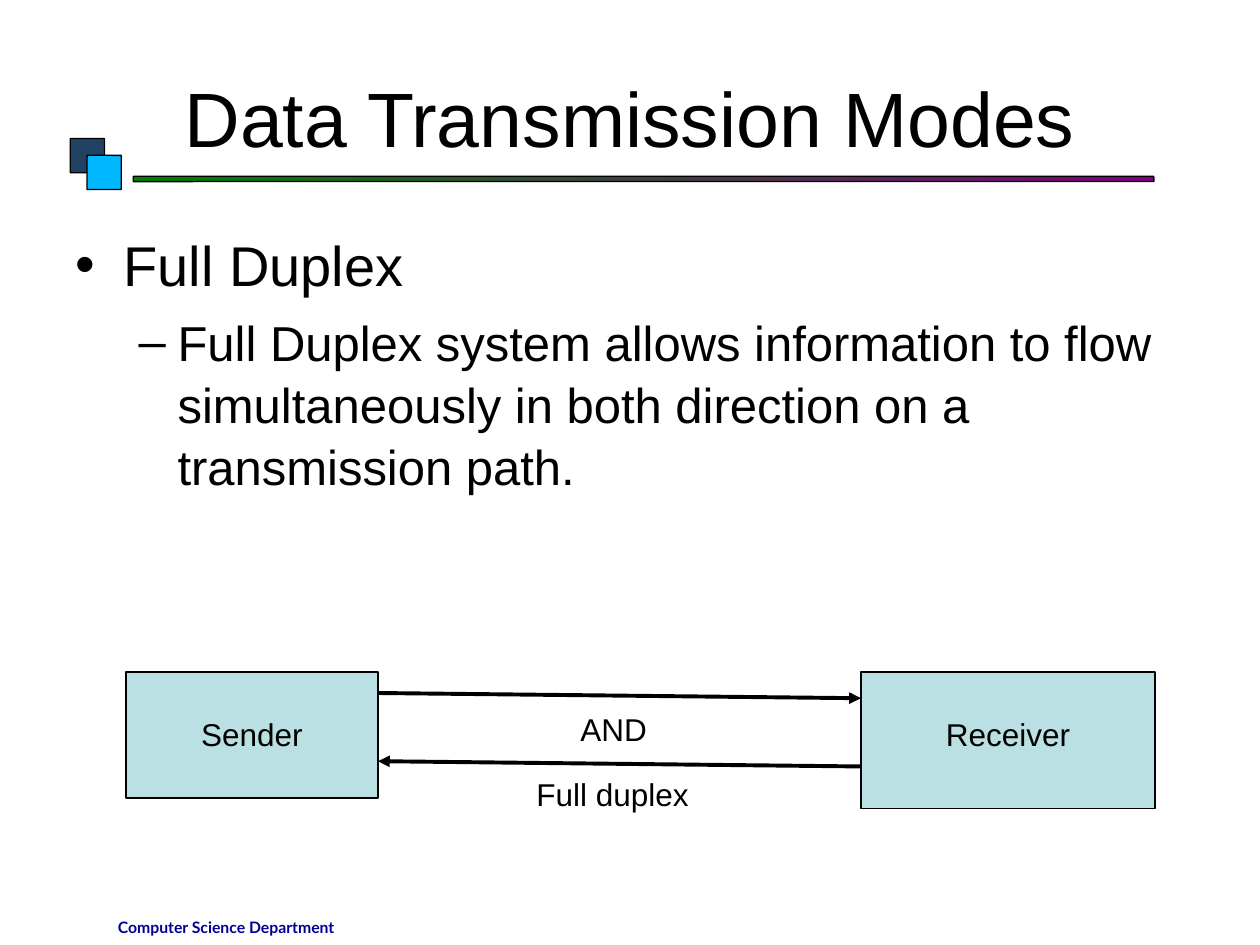
"""Build the slide on full duplex data transmission."""
from lxml.etree import SubElement
from pptx import Presentation
from pptx.dml.color import RGBColor
from pptx.enum.shapes import MSO_CONNECTOR, MSO_SHAPE
from pptx.enum.text import MSO_ANCHOR, MSO_AUTO_SIZE, PP_ALIGN
from pptx.oxml.ns import qn
from pptx.util import Inches, Pt

COLORS = {"black": "000000", "station": "BBE0E3", "navy": "214263", "sky": "00B8FF",
          "green": "008000", "purple": "800080", "footer": "000099"}
COLUMNS, ROWS = 120, 90
WIDTH, HEIGHT = Inches(10), Inches(7.5)

TITLE = ("Data Transmission Modes", (6, 3.6, 108, 15))
BODY_AREA = (6, 21, 108, 59.4)
BULLETS = [
    dict(text="Full Duplex", level=0, mark="•", left=0.38, hang=0.38, size=32, before=0),
    dict(text="Full Duplex system allows information to flow simultaneously "
              "in both direction on a transmission path.",
         level=1, mark="–", left=0.81, hang=0.31, size=28, before=7),
]
STATIONS = [("Sender", (12, 64, 24, 12)), ("Receiver", (82, 64, 28, 13))]
ARROWS = [(66, 66.5, "a:tailEnd"), (72.5, 73, "a:headEnd")]
LABELS = [("Full duplex", (49.9, 73.2, 16.9, 4.8)), ("AND", (54.1, 67, 8.8, 4.8))]
FOOTER = ("Computer Science Department", (5, 86.8, 28, 3.2))
SQUARES = [("navy", (6.7, 13.2, 3.25, 3.25)), ("sky", (8.3, 14.8, 3.25, 3.25))]
RULE_AREA = (12.7, 16.8, 97.2, 0.5)


def place(column, row, columns, rows):
    """Turn grid cells into slide lengths."""
    return (round(WIDTH * column / COLUMNS), round(HEIGHT * row / ROWS),
            round(WIDTH * columns / COLUMNS), round(HEIGHT * rows / ROWS))


def color(name):
    """Look up a colour by name."""
    return RGBColor.from_string(COLORS[name])


def write(paragraph, text, size=18, font="Arial", ink="black", bold=False, align=PP_ALIGN.LEFT):
    """Write formatted text into a paragraph."""
    run = paragraph.add_run()
    run.text = text
    run.font.size, run.font.name, run.font.bold = Pt(size), font, bold
    run.font.color.rgb = color(ink)
    paragraph.alignment = align


def fit(placeholder, area, anchor):
    """Move a placeholder and fix its text layout."""
    placeholder.left, placeholder.top, placeholder.width, placeholder.height = place(*area)
    placeholder.text_frame.auto_size = MSO_AUTO_SIZE.NONE
    placeholder.text_frame.vertical_anchor = anchor
    return placeholder.text_frame


def add_block(slide, area, kind=MSO_SHAPE.RECTANGLE, fill=None):
    """Add an outlined shape with an optional solid fill."""
    block = slide.shapes.add_shape(kind, *place(*area))
    block.shadow.inherit = False
    block.line.color.rgb, block.line.width = color("black"), Pt(0.75)
    if fill:
        block.fill.solid()
        block.fill.fore_color.rgb = color(fill)
    return block


def add_label(slide, text, area, wrap=False, **style):
    """Add a text box."""
    frame = slide.shapes.add_textbox(*place(*area)).text_frame
    frame.word_wrap = wrap
    write(frame.paragraphs[0], text, **style)


def add_bullets(frame):
    """Fill the body with its bulleted levels."""
    for index, bullet in enumerate(BULLETS):
        paragraph = frame.add_paragraph() if index else frame.paragraphs[0]
        paragraph.level = bullet["level"]
        paragraph.space_before, paragraph.line_spacing = Pt(bullet["before"]), 1.05
        properties = paragraph._p.get_or_add_pPr()
        properties.set("marL", str(Inches(bullet["left"])))
        properties.set("indent", str(-Inches(bullet["hang"])))
        SubElement(properties, qn("a:buFont"), typeface="Arial")
        SubElement(properties, qn("a:buChar"), char=bullet["mark"])
        write(paragraph, bullet["text"], size=bullet["size"])


def add_arrow(slide, start_row, end_row, tip):
    """Join the two stations with an arrow."""
    sender, receiver = (area for _, area in STATIONS)
    left, top, _, _ = place(sender[0] + sender[2], start_row, 0, 0)
    right, bottom, _, _ = place(receiver[0], end_row, 0, 0)
    arrow = slide.shapes.add_connector(MSO_CONNECTOR.STRAIGHT, left, top, right, bottom)
    arrow.line.color.rgb, arrow.line.width = color("black"), Pt(2.25)
    SubElement(arrow.line._get_or_add_ln(), qn(tip), type="triangle")
    SubElement(arrow._element.spPr, qn("a:effectLst"))


def main():
    """Assemble and save the slide."""
    deck = Presentation()
    deck.slide_width, deck.slide_height = WIDTH, HEIGHT
    slide = deck.slides.add_slide(deck.slide_layouts[1])
    heading, body = slide.placeholders

    add_label(slide, *FOOTER, wrap=True, size=9, font="Lato", ink="footer", bold=True,
              align=PP_ALIGN.RIGHT)
    title, title_area = TITLE
    write(fit(heading, title_area, MSO_ANCHOR.MIDDLE).paragraphs[0], title, size=44,
          align=PP_ALIGN.CENTER)
    add_bullets(fit(body, BODY_AREA, MSO_ANCHOR.TOP))

    for name, area in STATIONS:
        frame = add_block(slide, area, fill="station").text_frame
        frame.vertical_anchor, frame.margin_top = MSO_ANCHOR.TOP, Inches(0.34)
        write(frame.paragraphs[0], name, align=PP_ALIGN.CENTER)
    for arrow in ARROWS:
        add_arrow(slide, *arrow)
    for label in LABELS:
        add_label(slide, *label)

    for fill, area in SQUARES:
        add_block(slide, area, MSO_SHAPE.ROUNDED_RECTANGLE, fill).adjustments[0] = 0.01
    rule = add_block(slide, RULE_AREA, MSO_SHAPE.ROUNDED_RECTANGLE)
    rule.adjustments[0] = 0.04
    rule.fill.gradient()
    rule.fill.gradient_angle = 0
    for stop, name in zip(rule.fill.gradient_stops, ("green", "purple")):
        stop.color.rgb = color(name)

    deck.save("out.pptx")


if __name__ == "__main__":
    main()
